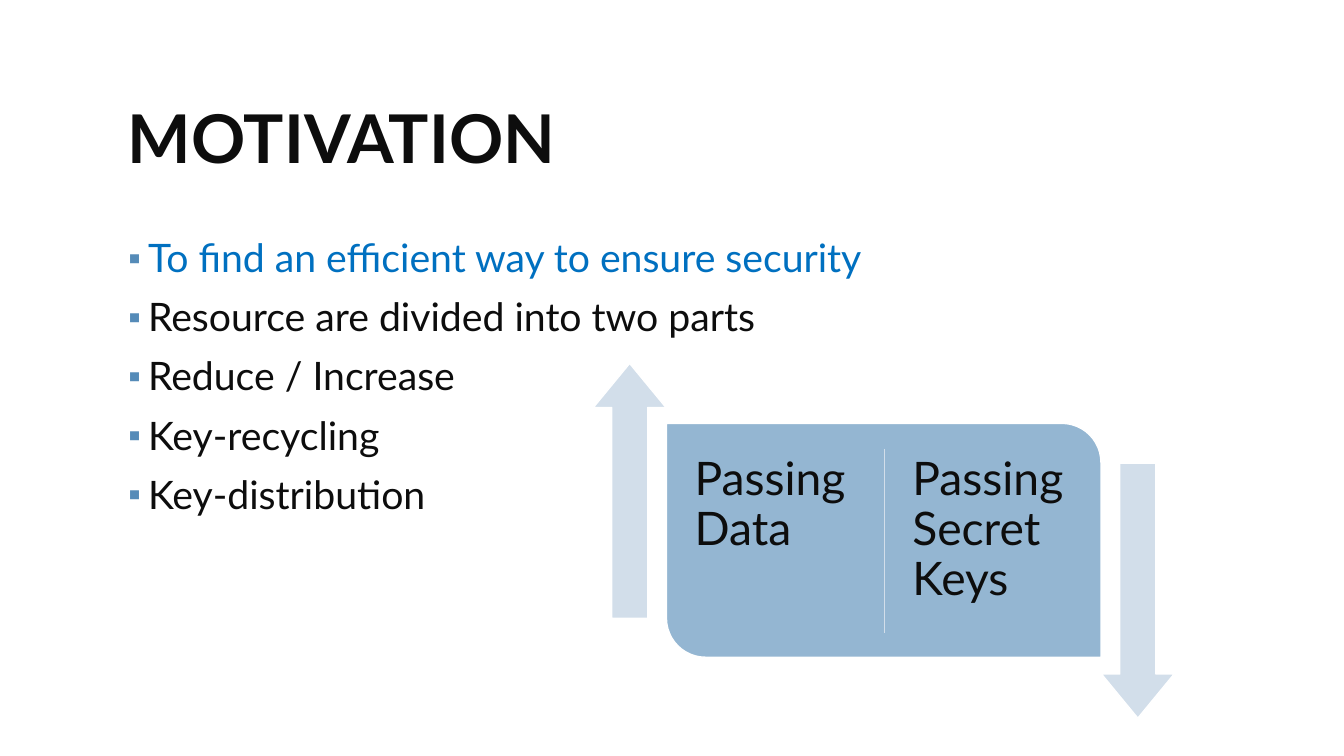
import pptx
import pptx.util
import pptx.dml.color
import pptx.enum.shapes
import pptx.enum.text
import pptx.oxml
import pptx.oxml.ns

Inches = pptx.util.Inches
Pt = pptx.util.Pt
RGBColor = pptx.dml.color.RGBColor
Shapes = pptx.enum.shapes.MSO_SHAPE
Anchor = pptx.enum.text.MSO_ANCHOR

INK = RGBColor(0x0D, 0x0D, 0x0D)
BLUE = RGBColor(0x00, 0x70, 0xC0)
BULLET = RGBColor(0x55, 0x8B, 0xB8)
PANEL = RGBColor(0x94, 0xB6, 0xD2)
PALE = RGBColor(0xD2, 0xDE, 0xEA)
WHITE = RGBColor(0xFF, 0xFF, 0xFF)


class Painter:
    """Draws styled elements on one page."""

    font = "Lato"
    line_spacing = 0.9
    bullet_indent = Inches(0.2)

    def __init__(self, page):
        self.page = page

    def text(self, left, top, width, height, lines, size, bold=False,
             inset=(0.1, 0.05), anchor=Anchor.TOP, bullet=None, before=0):
        """Add a text box; lines holds (wording, colour) pairs."""
        box = self.page.shapes.add_textbox(
            Inches(left), Inches(top), Inches(width), Inches(height))
        frame = box.text_frame
        frame.word_wrap = True
        frame.vertical_anchor = anchor
        frame.margin_left = frame.margin_right = Inches(inset[0])
        frame.margin_top = frame.margin_bottom = Inches(inset[1])
        for index, (wording, colour) in enumerate(lines):
            para = frame.add_paragraph() if index else frame.paragraphs[0]
            para.line_spacing = self.line_spacing
            para.space_before = Pt(before)
            if bullet:
                self.bullet(para, bullet)
            span = para.add_run()
            span.text = wording
            span.font.name = self.font
            span.font.size = Pt(size)
            span.font.bold = bold
            span.font.color.rgb = colour

    def bullet(self, para, symbol):
        """Give a paragraph a hanging bullet."""
        properties = para._p.get_or_add_pPr()
        properties.set("marL", str(self.bullet_indent))
        properties.set("indent", str(-self.bullet_indent))
        namespace = pptx.oxml.ns.nsdecls("a")
        for markup in (
            f'<a:buClr {namespace}><a:srgbClr val="{BULLET}"/></a:buClr>',
            f'<a:buSzPct {namespace} val="85000"/>',
            f'<a:buFont {namespace} typeface="{self.font}"/>',
            f'<a:buChar {namespace} char="{symbol}"/>',
        ):
            properties.append(pptx.oxml.parse_xml(markup))

    def shape(self, kind, left, top, width, height, fill, adjustments, rotation=0):
        """Add a filled preset shape with a thin white outline."""
        shape = self.page.shapes.add_shape(
            kind, Inches(left), Inches(top), Inches(width), Inches(height))
        shape.shadow.inherit = False
        shape.fill.solid()
        shape.fill.fore_color.rgb = fill
        shape.line.color.rgb = WHITE
        shape.line.width = Pt(1)
        shape.rotation = rotation
        for index, value in enumerate(adjustments):
            shape.adjustments[index] = value

    def vertical_line(self, x, top, bottom, colour):
        """Add a thin vertical line."""
        line = self.page.shapes.add_connector(
            pptx.enum.shapes.MSO_CONNECTOR.STRAIGHT,
            Inches(x), Inches(top), Inches(x), Inches(bottom))
        line.line.color.rgb = colour
        line.line.width = Pt(1)
        line._element.spPr.append(pptx.oxml.parse_xml(
            f'<a:effectLst {pptx.oxml.ns.nsdecls("a")}/>'))


def main():
    deck = pptx.Presentation()
    deck.slide_width = Inches(13.33)
    deck.slide_height = Inches(7.5)
    painter = Painter(deck.slides.add_slide(deck.slide_layouts[6]))

    # Title and bullet list
    painter.text(1.17, 0.53, 11, 1.76, [("MOTIVATION", INK)], 48,
                 bold=True, anchor=Anchor.MIDDLE)
    painter.text(1.17, 2.32, 10.49, 4.43, [
        ("To find an efficient way to ensure security", BLUE),
        ("Resource are divided into two parts", INK),
        ("Reduce / Increase", INK),
        ("Key-recycling", INK),
        ("Key-distribution", INK),
    ], 28, bullet="▪", before=12)

    # Panel with two halves
    painter.shape(Shapes.ROUND_2_DIAG_RECTANGLE, 6.61, 4.2, 4.31, 2.32,
                  PANEL, (0, 0.167))
    painter.vertical_line(8.77, 4.45, 6.28, PALE)
    for left, wording in ((6.75, "Passing Data"), (8.91, "Passing Secret Keys")):
        painter.text(left, 4.38, 1.87, 1.97, [(wording, INK)], 33,
                     inset=(0.14, 0.14))

    # Up and down arrows
    for left, top, rotation in ((4.98, 4.51, 270), (10.02, 5.5, 90)):
        painter.shape(Shapes.RIGHT_ARROW, left, top, 2.53, 0.72,
                      PALE, (0.498, 0.607), rotation)

    deck.save("out.pptx")


if __name__ == "__main__":
    main()
